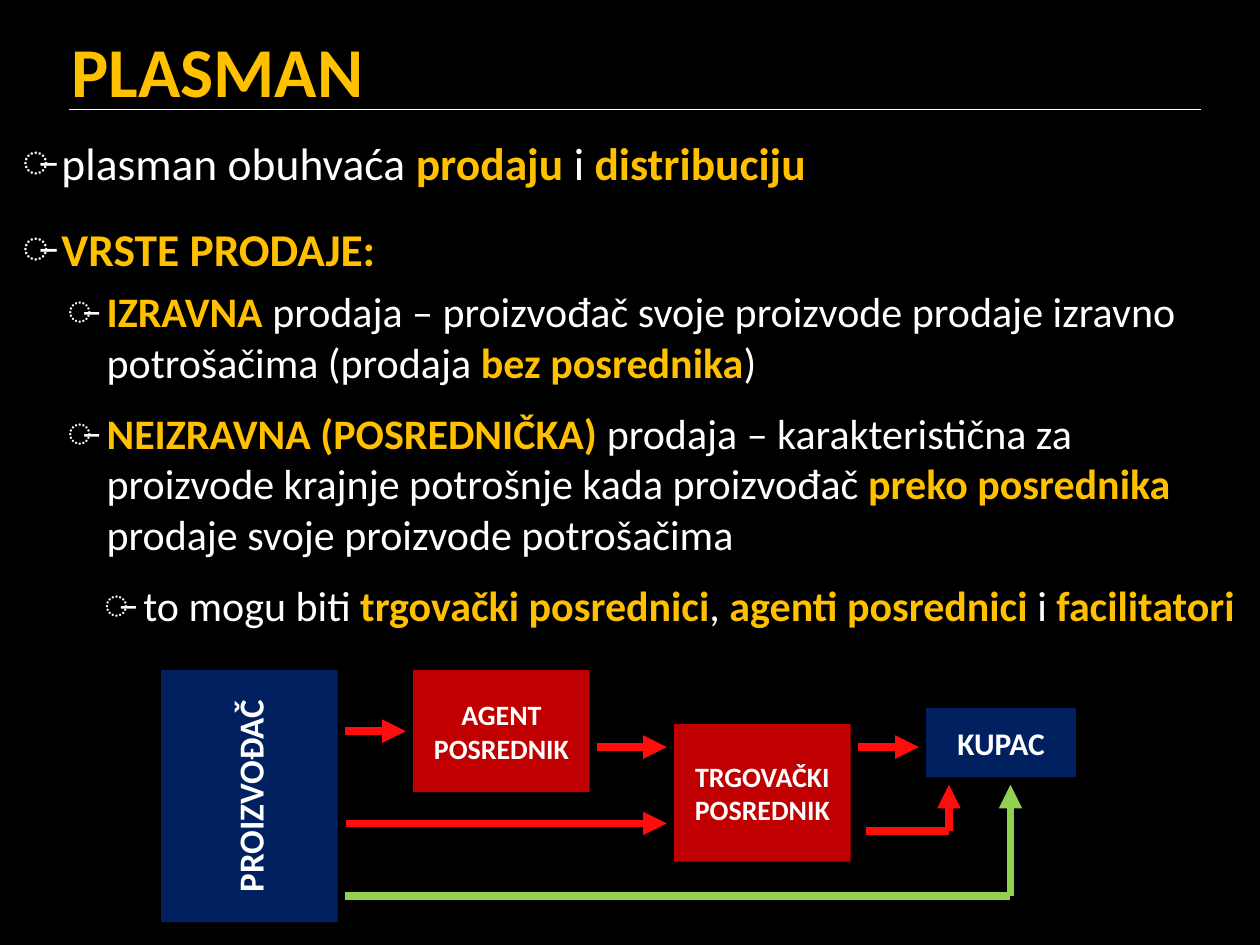
from itertools import pairwise

from lxml.etree import SubElement
from pptx import Presentation
from pptx.dml.color import RGBColor
from pptx.enum.shapes import MSO_CONNECTOR, MSO_SHAPE
from pptx.enum.text import MSO_ANCHOR, PP_ALIGN
from pptx.oxml.ns import qn
from pptx.util import Cm, Pt

BLACK = RGBColor(0x00, 0x00, 0x00)
WHITE = RGBColor(0xFF, 0xFF, 0xFF)
GOLD = RGBColor(0xFF, 0xC0, 0x00)
NAVY = RGBColor(0x00, 0x20, 0x60)
CRIMSON = RGBColor(0xC0, 0x00, 0x00)
RED = RGBColor(0xFF, 0x0D, 0x0D)
GREEN = RGBColor(0x92, 0xD0, 0x50)
FONT = "Calibri"
HANG = 0.79  # hanging indent of the bullets, cm

# Level, size, space before, and text pieces; * marks a highlighted piece
BULLETS = [
    (0, 26, 24, ["plasman obuhvaća ", "*prodaju", " i ", "*distribuciju"]),
    (0, 26, 18, ["*VRSTE PRODAJE:"]),
    (1, 24, 6, ["*IZRAVNA", " prodaja – proizvođač svoje proizvode prodaje izravno "
                "potrošačima (prodaja ", "*bez posrednika", ")"]),
    (1, 24, 12, ["*NEIZRAVNA (POSREDNIČKA) ", "prodaja – karakteristična za proizvode "
                 "krajnje potrošnje kada proizvođač ", "*preko posrednika ",
                 "prodaje svoje proizvode potrošačima"]),
    (2, 24, 12, ["to mogu biti ", "*trgovački posrednici", ", ", "*agenti posrednici ",
                 "i ", "*facilitatori"]),
]
LEVEL_INDENT = [0.79, 1.7, 2.44]

# Text, left, top, width, height (cm within the diagram), fill, size, rotated
BOXES = [
    ("AGENT POSREDNIK", 5.08, 0, 3.56, 2.46, CRIMSON, 16, False),
    ("TRGOVAČKI POSREDNIK", 10.34, 1.09, 3.56, 2.77, CRIMSON, 16, False),
    ("KUPAC", 15.42, 0.76, 3.02, 1.4, NAVY, 18, False),
    ("PROIZVOĐAČ", 0, 0, 3.56, 5.08, NAVY, 20, True),
]
# Colour and corner points; the last stretch carries the arrowhead
ROUTES = [
    (RED, [(3.71, 1.23), (4.93, 1.23)]),
    (RED, [(3.73, 3.09), (10.19, 3.09)]),
    (RED, [(8.79, 1.55), (10.19, 1.55)]),
    (RED, [(14.05, 1.55), (15.27, 1.55)]),
    (GREEN, [(3.71, 4.56), (17.12, 4.56), (17.12, 2.31)]),
    (RED, [(14.2, 3.25), (15.88, 3.25), (15.88, 2.31)]),
]


def add_text(p, text, size=24, color=WHITE, bold=False):
    r = p.add_run()
    r.text = text
    r.font.name, r.font.size, r.font.bold = FONT, Pt(size), bold
    r.font.color.rgb = color


def add_line(slide, start, end, color, width, arrow=False):
    ln = slide.shapes.add_connector(MSO_CONNECTOR.STRAIGHT, *map(Cm, start + end))
    ln.line.color.rgb = color
    ln.line.width = Pt(width)
    if arrow:
        SubElement(ln.line._get_or_add_ln(), qn("a:tailEnd"), type="triangle")
    SubElement(ln._element.spPr, qn("a:effectLst"))


def add_title(slide, left, top, width, height):
    title = slide.shapes.title
    title.left, title.top, title.width, title.height = map(Cm, (left, top, width, height))
    tf = title.text_frame
    tf.vertical_anchor = MSO_ANCHOR.MIDDLE
    p = tf.paragraphs[0]
    p.alignment = PP_ALIGN.LEFT
    add_text(p, "PLASMAN", size=40, color=GOLD, bold=True)
    # Rule under the title
    y = top + 2.01
    add_line(slide, (left + 0.2, y), (left + width - 0.2, y), WHITE, 1)


def add_bullets(slide, left, top, width, height):
    tf = slide.shapes.add_textbox(*map(Cm, (left, top, width, height))).text_frame
    tf.word_wrap = True
    for i, (level, size, before, pieces) in enumerate(BULLETS):
        p = tf.add_paragraph() if i else tf.paragraphs[0]
        p.level = level
        p.space_before = Pt(before)
        pPr = p._p.get_or_add_pPr()
        pPr.set("marL", str(Cm(LEVEL_INDENT[level])))
        pPr.set("indent", str(-Cm(HANG)))
        SubElement(SubElement(pPr, qn("a:buClr")), qn("a:srgbClr"), val=str(WHITE))
        SubElement(pPr, qn("a:buFont"), typeface=FONT)
        SubElement(pPr, qn("a:buChar"), char="\u0336")
        for piece in pieces:
            marked = piece.startswith("*")
            add_text(p, piece.lstrip("*"), size=size,
                     color=GOLD if marked else WHITE, bold=marked)


def add_diagram(slide, left, top):
    # Parties to the sale
    for text, x, y, w, h, fill, size, rotated in BOXES:
        sp = slide.shapes.add_shape(MSO_SHAPE.RECTANGLE,
                                    *map(Cm, (left + x, top + y, w, h)))
        sp.shadow.inherit = False
        sp.fill.solid()
        sp.fill.fore_color.rgb = fill
        sp.line.fill.background()
        tf = sp.text_frame
        tf.word_wrap = True
        tf.vertical_anchor = MSO_ANCHOR.MIDDLE
        if rotated:
            tf._txBody.bodyPr.set("vert", "vert270")
        p = tf.paragraphs[0]
        p.alignment = PP_ALIGN.CENTER
        add_text(p, text, size=size, bold=True)
    # Sales routes
    for color, corners in ROUTES:
        points = [(left + x, top + y) for x, y in corners]
        for start, end in pairwise(points):
            add_line(slide, start, end, color, 4.5, arrow=end == points[-1])


prs = Presentation()
prs.slide_width, prs.slide_height = Cm(25.4), Cm(19.05)
slide = prs.slides.add_slide(prs.slide_layouts[5])
slide.background.fill.solid()
slide.background.fill.fore_color.rgb = BLACK
add_title(slide, 1.19, 0.2, 23.22, 2.41)
add_bullets(slide, 0.2, 2.59, 25, 15.47)
add_diagram(slide, 3.25, 13.51)
prs.save("out.pptx")
